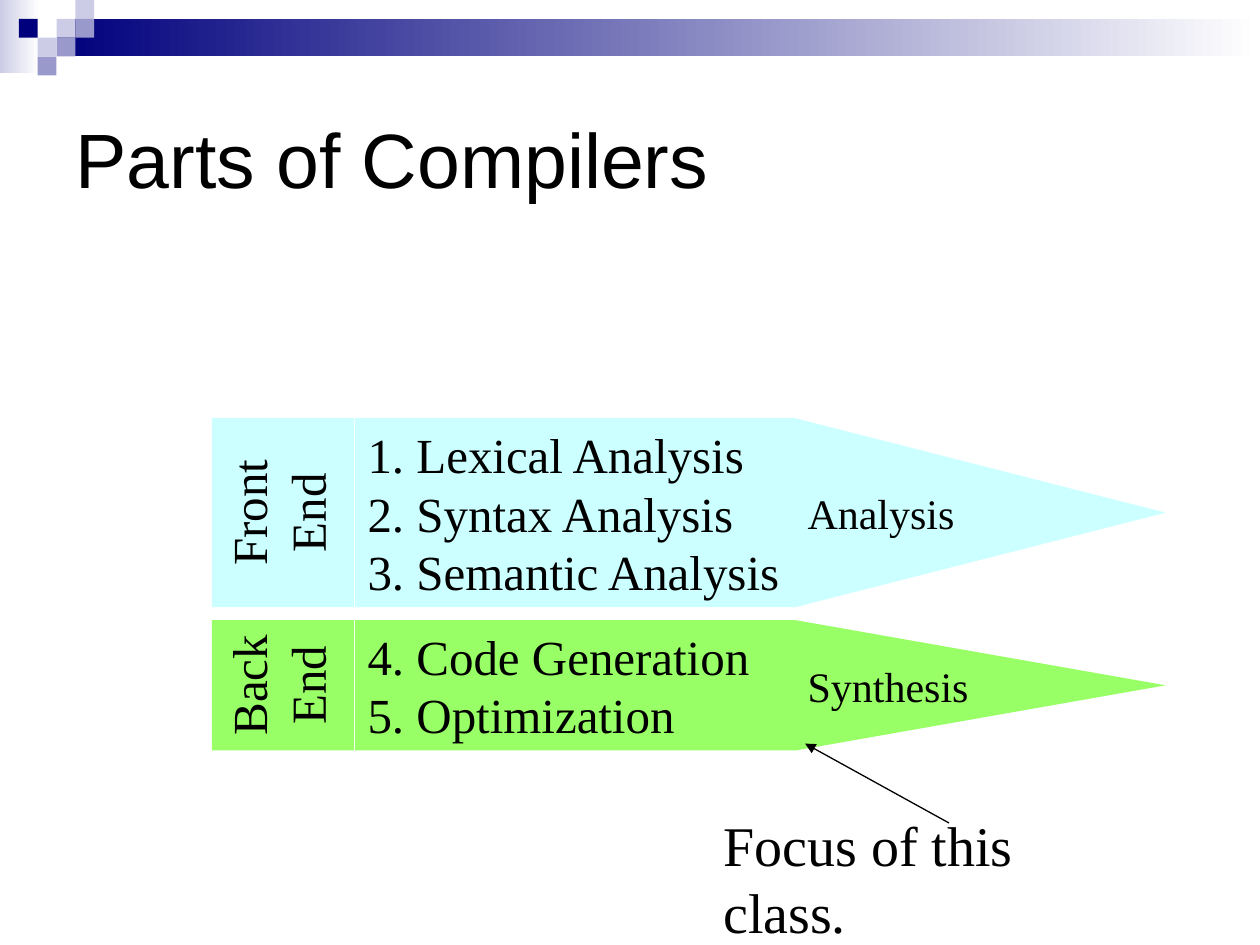
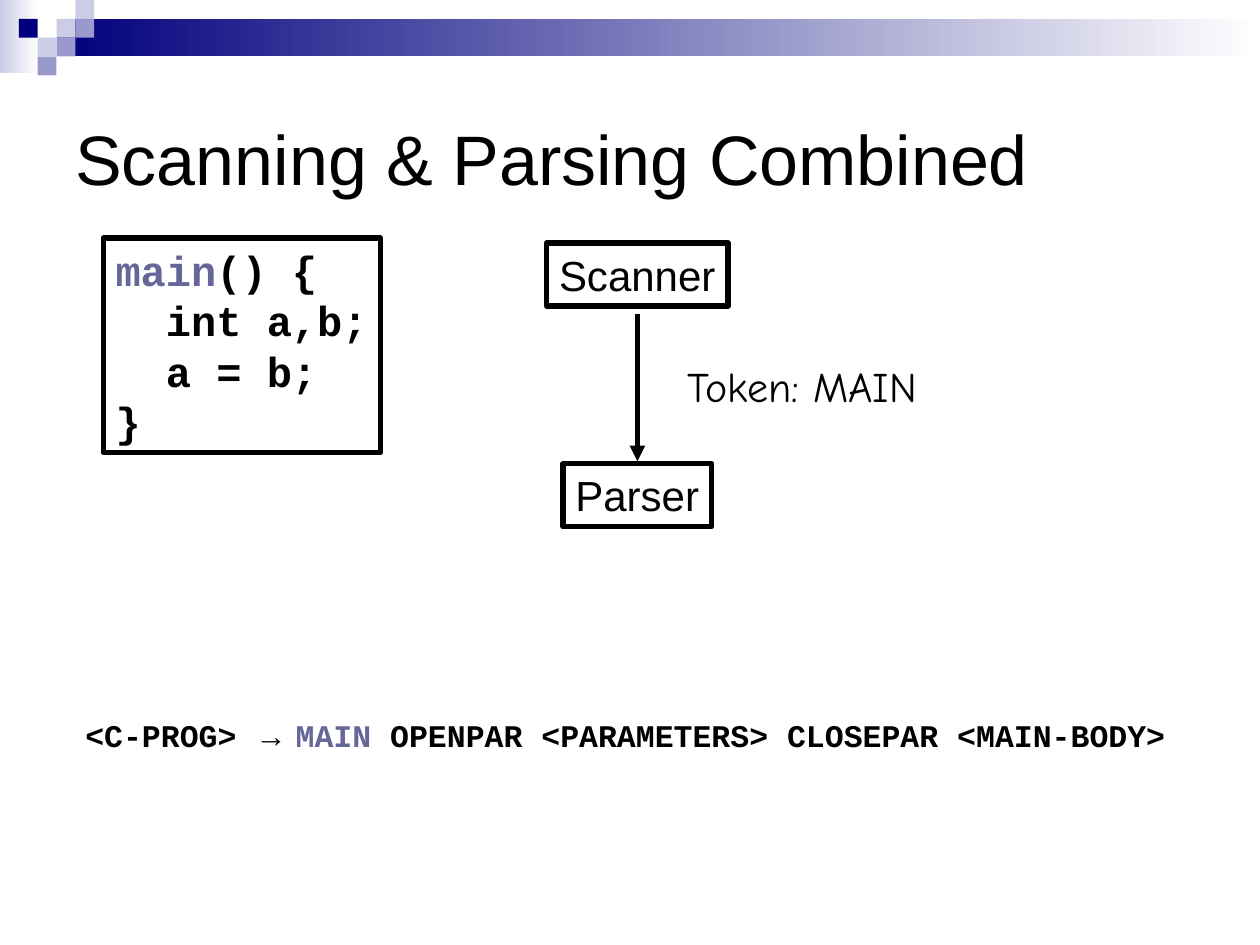
from lxml import etree
from pptx import Presentation
from pptx.dml.color import RGBColor
from pptx.enum.shapes import MSO_CONNECTOR, MSO_SHAPE
from pptx.enum.text import MSO_ANCHOR, PP_ALIGN
from pptx.oxml.ns import qn
from pptx.util import Cm, Pt

RECTANGLE = MSO_SHAPE.RECTANGLE
MERGE = MSO_SHAPE.FLOWCHART_MERGE
STRAIGHT = MSO_CONNECTOR.STRAIGHT
TOP, MIDDLE = MSO_ANCHOR.TOP, MSO_ANCHOR.MIDDLE
LEFT, CENTER = PP_ALIGN.LEFT, PP_ALIGN.CENTER

BLACK, WHITE, NAVY = "000000", "FFFFFF", "00007D"
PALE, LAVENDER, HIGHLIGHT = "CCCCE6", "9999CC", "666699"
SANS, SERIF, MONO, HAND = "Arial", "Times New Roman", "Courier New", "Comic Neue"

UNIT = 0.38
HEADER_GRADIENTS = [((0, 0, 0.79, 1.47), PALE), ((1.14, UNIT, 24.26, 0.76), NAVY)]
HEADER_SQUARES = [
    (3, 1, PALE), (4, 0, PALE), (4, 1, LAVENDER), (2, 2, PALE),
    (1, 1, NAVY), (3, 2, LAVENDER), (2, 3, LAVENDER),
]

STAGES = [
    {"label": ["Front", "End"], "result": "Analysis", "color": "CCFFFF", "height": 3.81,
     "steps": ["1. Lexical Analysis", "2. Syntax Analysis", "3. Semantic Analysis"]},
    {"label": ["Back", "End"], "result": "Synthesis", "color": "99FF66", "height": 2.63,
     "steps": ["4. Code Generation", "5. Optimization"]},
]
STAGE_TOP, STAGE_GAP = 8.43, 0.26
LABEL_LEFT, LABEL_WIDTH = 4.27, 2.87
STEPS_LEFT, STEPS_WIDTH = 7.16, 8.87
RESULT_WIDTH = 7.47

CODE = [[("main", HIGHLIGHT), ("() {", BLACK)], "  int a,b;", "  a = b;", "}"]
GRAMMAR = [[
    ("<C-PROG> ", BLACK),
    ("→ ", BLACK, SANS),
    ("MAIN", HIGHLIGHT),
    (" OPENPAR <PARAMETERS> CLOSEPAR <MAIN-BODY>", BLACK),
]]
BOXES = [("Scanner", 4.9, 3.66), ("Parser", 9.35, 3.0)]
BOX_CENTER, BOX_HEIGHT = 12.85, 1.27


def rgb(color):
    return RGBColor.from_string(color)


def add_block(slide, kind, place, fill=None, outline=None):
    shape = slide.shapes.add_shape(kind, *map(Cm, place))
    shape.shadow.inherit = False
    if fill:
        shape.fill.solid()
        shape.fill.fore_color.rgb = rgb(fill)
    else:
        shape.fill.background()
    if outline:
        shape.line.color.rgb = rgb(outline)
        shape.line.width = Pt(3)
    else:
        shape.line.fill.background()
    return shape


def write(shape, lines, size, font, bold=False, align=LEFT, anchor=TOP,
          wrap=True, direction=None):
    frame = shape.text_frame
    frame.word_wrap = wrap
    frame.vertical_anchor = anchor
    if direction:
        frame.margin_left = frame.margin_right = Cm(0.13)
        frame.margin_top = frame.margin_bottom = Cm(0.25)
        shape.text_frame._txBody.bodyPr.set("vert", direction)
    for index, line in enumerate(lines):
        paragraph = frame.add_paragraph() if index else frame.paragraphs[0]
        paragraph.alignment = align
        paragraph.line_spacing = Pt(size * 1.2)
        parts = [(line, BLACK)] if isinstance(line, str) else line
        for text, color, *other_font in parts:
            run = paragraph.add_run()
            run.text = text
            run.font.size = Pt(size)
            run.font.name = other_font[0] if other_font else font
            run.font.bold = bold
            run.font.color.rgb = rgb(color)


def add_text(slide, place, lines, size, font, **options):
    write(slide.shapes.add_textbox(*map(Cm, place)), lines, size, font, **options)


def add_arrow(slide, start, end, width):
    arrow = slide.shapes.add_connector(STRAIGHT, *map(Cm, start + end))
    arrow.line.color.rgb = rgb(BLACK)
    arrow.line.width = Pt(width)
    etree.SubElement(arrow.line._get_or_add_ln(), qn("a:tailEnd"), type="triangle")
    etree.SubElement(arrow._element.spPr, qn("a:effectLst"))


def add_slide(presentation, title, size):
    slide = presentation.slides.add_slide(presentation.slide_layouts[6])
    for place, color in HEADER_GRADIENTS:
        band = add_block(slide, RECTANGLE, place, color)
        band.fill.gradient()
        band.fill.gradient_angle = 0
        for stop, stop_color, position in zip(band.fill.gradient_stops, (color, WHITE), (0, 1)):
            stop.color.rgb = rgb(stop_color)
            stop.position = position
    for column, row, color in HEADER_SQUARES:
        add_block(slide, RECTANGLE, (column * UNIT, row * UNIT, UNIT, UNIT), color)
    add_text(slide, (1.27, 1.27, 22.86, 3.81), [title], size, SANS, anchor=MIDDLE)
    return slide


def build_parts(presentation):
    slide = add_slide(presentation, "Parts of Compilers", 44)
    top = STAGE_TOP
    for stage in STAGES:
        height, color = stage["height"], stage["color"]
        steps = add_block(slide, RECTANGLE, (STEPS_LEFT, top, STEPS_WIDTH, height), color)
        write(steps, stage["steps"], 28, SERIF)

        center_x = STEPS_LEFT + STEPS_WIDTH + RESULT_WIDTH / 2
        center_y = top + height / 2
        place = (center_x - height / 2, center_y - RESULT_WIDTH / 2, height, RESULT_WIDTH)
        result = add_block(slide, MERGE, place, color)
        result.rotation = 270
        write(result, [stage["result"]], 24, SERIF, align=CENTER, anchor=MIDDLE,
              wrap=False, direction="eaVert")

        label = add_block(slide, RECTANGLE, (LABEL_LEFT, top, LABEL_WIDTH, height), color)
        write(label, stage["label"], 28, SERIF, align=CENTER, direction="vert270")
        top += height + STAGE_GAP
    add_text(slide, (14.33, 16.21, 9.09, 1.63), ["Focus of this class."], 32, SERIF, wrap=False)
    add_arrow(slide, (19.13, 16.59), (16.23, 14.99), 0.75)


def build_scanning(presentation):
    slide = add_slide(presentation, "Scanning & Parsing Combined", 40)
    code = add_block(slide, RECTANGLE, (2.08, 4.8, 5.59, 4.32), outline=BLACK)
    write(code, CODE, 24, MONO, bold=True, wrap=False)
    for name, top, width in BOXES:
        place = (BOX_CENTER - width / 2, top, width, BOX_HEIGHT)
        box = add_block(slide, RECTANGLE, place, outline=BLACK)
        write(box, [name], 24, SANS, wrap=False)
    add_arrow(slide, (BOX_CENTER, 6.32), (BOX_CENTER, 9.3), 3)
    add_text(slide, (13.56, 7.14, 5.23, 1.27), ["Token: MAIN"], 24, HAND,
             align=CENTER, wrap=False)
    add_text(slide, (1.47, 14.3, 22.35, 1.02), GRAMMAR, 18, MONO, bold=True)


def main():
    presentation = Presentation()
    presentation.slide_width = Cm(25.4)
    presentation.slide_height = Cm(19.05)
    build_parts(presentation)
    build_scanning(presentation)
    presentation.save("out.pptx")


if __name__ == "__main__":
    main()
